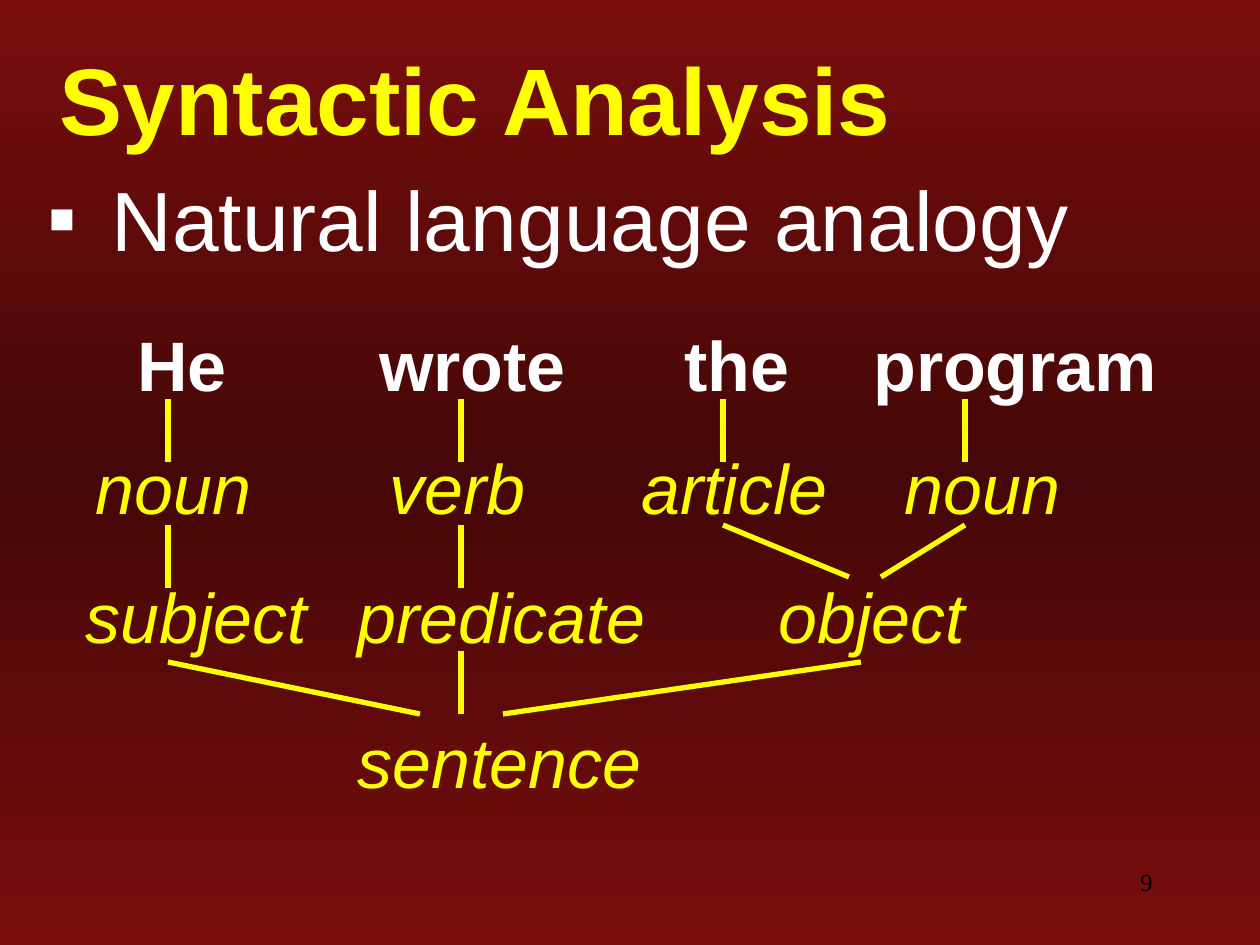
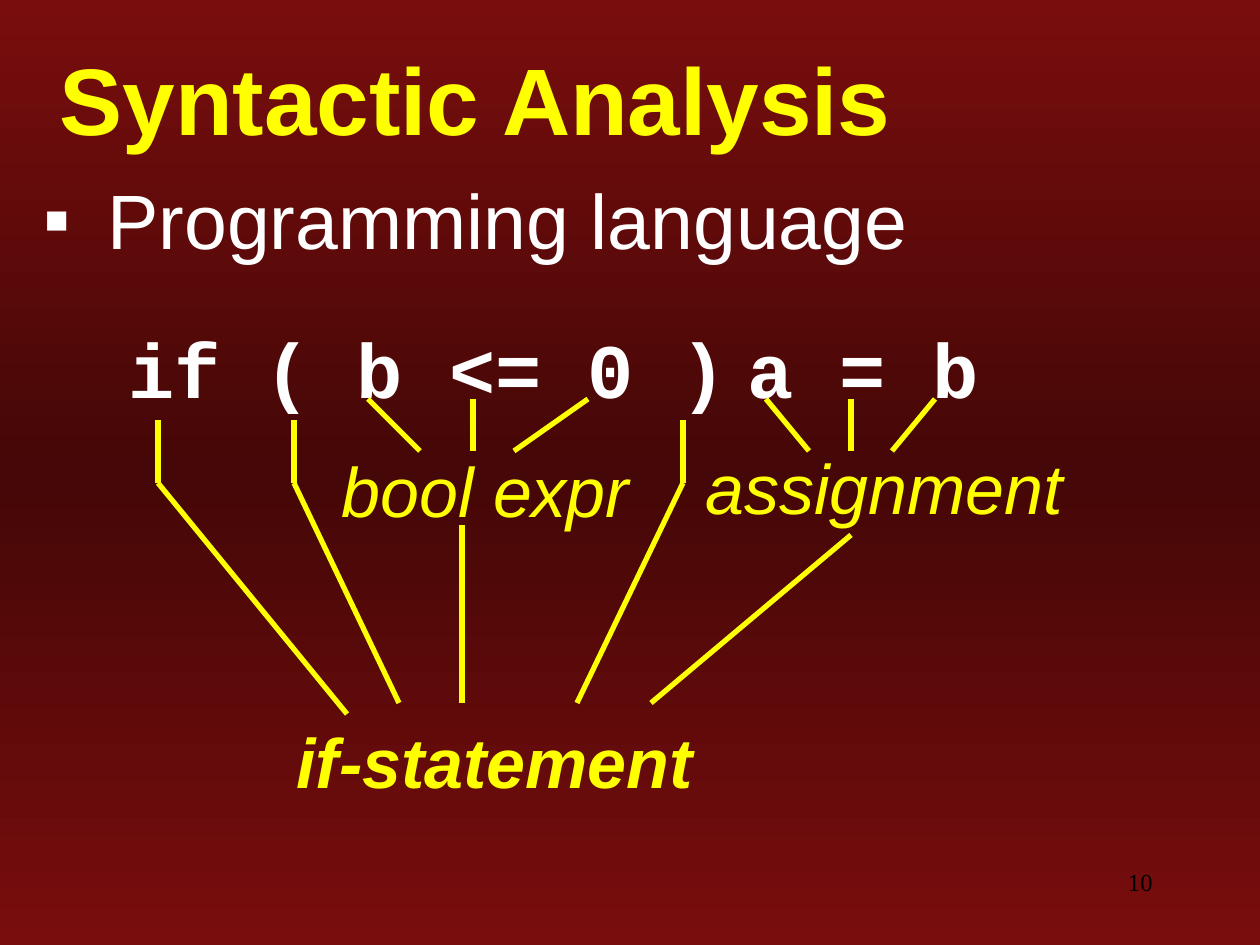
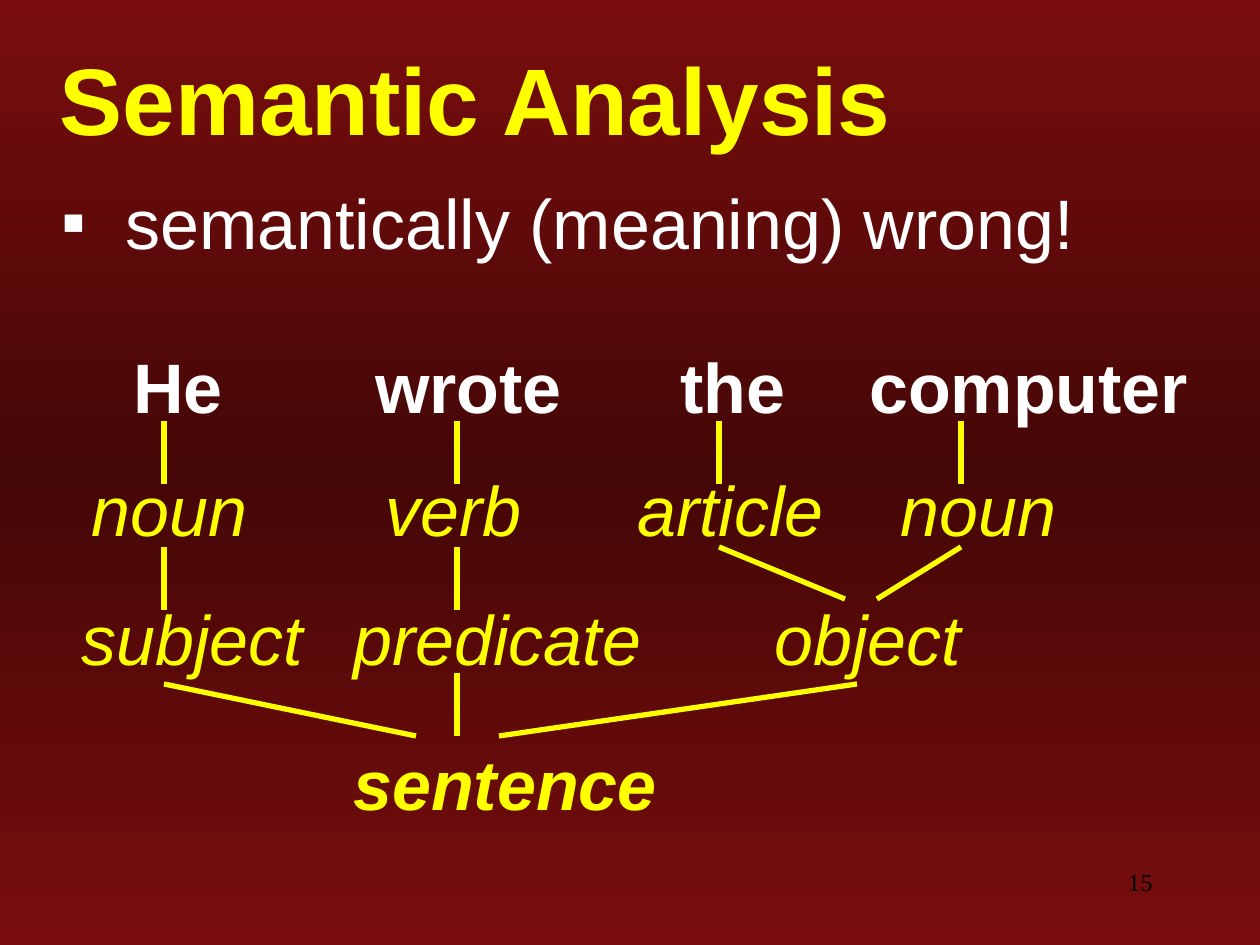
import copy

import lxml.etree
import pptx
import pptx.dml.color
import pptx.enum.shapes
import pptx.enum.text
import pptx.oxml.ns
import pptx.util

PX = 914400 / 126
YELLOW, WHITE, BLACK = "FFFF00", "FFFFFF", "000000"
EDGE_RED, MIDDLE_RED = "790D0D", "450707"

WORD = dict(size=40, color=WHITE, bold=True)
ROLE = dict(size=40, color=YELLOW, italic=True)
ROOT = dict(ROLE, bold=True)
CODE = dict(size=44, color=WHITE, bold=True, font="Courier New")

# Labels: text, left, top, width, format. Branches: x1, y1, x2, y2.
SENTENCE_LABELS = [
    ("He", 125, 315, 147, WORD), ("wrote", 367, 315, 252, WORD),
    ("the", 672, 315, 252, WORD),
    ("noun", 83, 438, 199, ROLE), ("verb", 377, 438, 252, ROLE),
    ("article", 629, 438, 252, ROLE), ("noun", 892, 438, 294, ROLE),
    ("subject", 73, 567, 252, ROLE), ("predicate", 345, 567, 325, ROLE),
    ("object", 766, 567, 252, ROLE),
]
WORD_CENTERS = [168, 461, 723, 965]
SENTENCE_BRANCHES = (
    [(x, 399, x, 462) for x in WORD_CENTERS]
    + [(x, 525, x, 588) for x in WORD_CENTERS[:2]]
    + [(723, 525, 849, 577), (965, 525, 881, 577),
       (168, 662, 420, 714), (461, 651, 461, 714), (861, 662, 503, 714)]
)


def sentence_tree(last_word, root_format):
    labels = SENTENCE_LABELS + [(last_word, 861, 315, 368, WORD),
                                ("sentence", 345, 712, 368, root_format)]
    return dict(labels=labels, branches=SENTENCE_BRANCHES)


IF_TREE = dict(
    labels=[
        ("if", 116, 315, 147, CODE), ("( b <= 0 )", 252, 315, 494, CODE),
        ("a = b", 735, 315, 315, CODE),
        ("bool expr", 329, 441, 362, ROLE), ("assignment", 693, 438, 410, ROLE),
        ("if-statement", 284, 712, 494, ROOT),
    ],
    branches=[
        (368, 399, 420, 451), (473, 399, 473, 451), (588, 399, 514, 451),
        (766, 399, 809, 451), (851, 399, 851, 451), (935, 399, 892, 451),
        (158, 420, 158, 483), (158, 483, 347, 714),
        (294, 420, 294, 483), (294, 483, 399, 703),
        (683, 420, 683, 483), (683, 483, 577, 703),
        (462, 525, 462, 703), (851, 535, 651, 703),
    ],
)

SLIDES = [
    dict(title="Syntactic Analysis", number="9", bullet="Natural language analogy",
         bullet_at=(35, 161), bullet_size=48, shift=(0, 0),
         tree=sentence_tree("program", ROLE)),
    dict(title="Syntactic Analysis", number="10", bullet="Programming language",
         bullet_at=(31, 166), bullet_size=44, shift=(0, 0), tree=IF_TREE),
    dict(title="Semantic Analysis", number="15", bullet="semantically (meaning) wrong!",
         bullet_at=(49, 173), bullet_size=40, shift=(-4, 22),
         tree=sentence_tree("computer", ROOT)),
]


def emu(*lengths):
    return [round(length * PX) for length in lengths]


def rgb(value):
    return pptx.dml.color.RGBColor.from_string(value)


def add_child(parent, tag, **attributes):
    child = lxml.etree.SubElement(parent, pptx.oxml.ns.qn(tag))
    for name, value in attributes.items():
        child.set(name, value)
    return child


def write_text(shape, text, *, size, color, font="Arial", bold=False, italic=False,
               align="LEFT", anchor="TOP", bullet=None):
    frame = shape.text_frame
    frame.word_wrap = True
    frame.auto_size = pptx.enum.text.MSO_AUTO_SIZE.NONE
    frame.vertical_anchor = getattr(pptx.enum.text.MSO_ANCHOR, anchor)
    paragraph = frame.paragraphs[0]
    paragraph.alignment = getattr(pptx.enum.text.PP_ALIGN, align)
    if bullet:
        properties = paragraph._p.get_or_add_pPr()
        indent = emu(64)[0]
        properties.set("marL", str(indent))
        properties.set("indent", str(-indent))
        add_child(add_child(properties, "a:buClr"), "a:srgbClr", val=color)
        add_child(properties, "a:buFont", typeface="Arial")
        add_child(properties, "a:buChar", char=bullet)
    run = paragraph.add_run()
    run.text = text
    run.font.size = pptx.util.Pt(size)
    run.font.name = font
    run.font.bold = bold
    run.font.italic = italic
    run.font.color.rgb = rgb(color)
    return run


def add_label(slide, text, left, top, width, height, **text_format):
    write_text(slide.shapes.add_textbox(*emu(left, top, width, height)),
               text, **text_format)


def add_branch(slide, *ends):
    line = slide.shapes.add_connector(pptx.enum.shapes.MSO_CONNECTOR.STRAIGHT, *emu(*ends))
    line.line.color.rgb = rgb(YELLOW)
    line.line.width = pptx.util.Pt(3)
    add_child(line._element.spPr, "a:effectLst")


def add_title(slide, text):
    title = slide.shapes.title
    title.left, title.top, title.width, title.height = emu(47, 45, 1213, 105)
    run = write_text(title, text, size=54, color=YELLOW, bold=True, anchor="MIDDLE")
    effects = add_child(run.font._element, "a:effectLst")
    shadow = add_child(effects, "a:outerShdw", dist="35921", dir="2700000")
    add_child(shadow, "a:srgbClr", val=BLACK)
    run.font._element.find(pptx.oxml.ns.qn("a:latin")).addprevious(effects)


def paint_background(master):
    fill = master.background.fill
    fill.gradient()
    fill.gradient_angle = 90
    stop_list = master.element.find(".//" + pptx.oxml.ns.qn("a:gsLst"))
    stop_list.append(copy.deepcopy(stop_list[-1]))
    colors = [EDGE_RED, MIDDLE_RED, EDGE_RED]
    for index, (stop, color) in enumerate(zip(fill.gradient_stops, colors)):
        stop.position = index / 2
        stop.color.rgb = rgb(color)


def add_tree(slide, tree, shift):
    dx, dy = shift
    for text, left, top, width, text_format in tree["labels"]:
        add_label(slide, text, left + dx, top + dy, width, 97, **text_format)
    for x1, y1, x2, y2 in tree["branches"]:
        add_branch(slide, x1 + dx, y1 + dy, x2 + dx, y2 + dy)


def main():
    presentation = pptx.Presentation()
    presentation.slide_width, presentation.slide_height = emu(1260, 945)
    paint_background(presentation.slide_master)
    for content in SLIDES:
        slide = presentation.slides.add_slide(presentation.slide_layouts[5])
        add_title(slide, content["title"])
        add_label(slide, content["bullet"], *content["bullet_at"], 1229, 140,
                  size=content["bullet_size"], color=WHITE, bullet="▪")
        add_tree(slide, content["tree"], content["shift"])
        add_label(slide, content["number"], 903, 861, 262, 63, size=14, color=BLACK,
                  font="Times New Roman", align="RIGHT")
    presentation.save("out.pptx")


if __name__ == "__main__":
    main()
